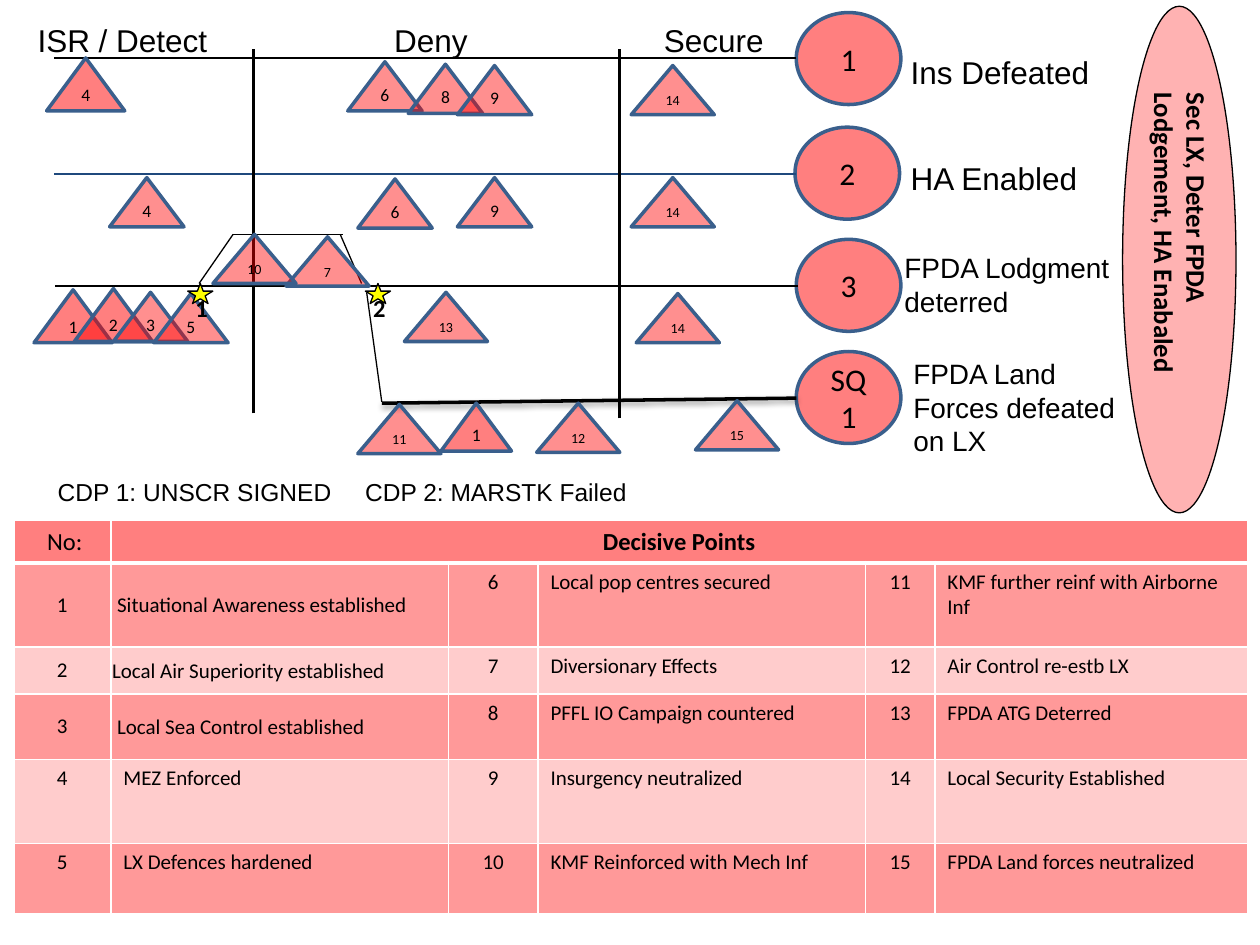
from typing import NamedTuple

from lxml import etree
from pptx import Presentation
from pptx.dml.color import RGBColor
from pptx.enum.shapes import MSO_CONNECTOR, MSO_SHAPE
from pptx.enum.text import MSO_ANCHOR, PP_ALIGN
from pptx.oxml.ns import qn
from pptx.util import Inches, Pt

STRAIGHT = MSO_CONNECTOR.STRAIGHT
ELLIPSE, TRIANGLE, STAR = MSO_SHAPE.OVAL, MSO_SHAPE.ISOSCELES_TRIANGLE, MSO_SHAPE.STAR_5_POINT
TOP, MIDDLE, BOTTOM = MSO_ANCHOR.TOP, MSO_ANCHOR.MIDDLE, MSO_ANCHOR.BOTTOM
LEFT, CENTER = PP_ALIGN.LEFT, PP_ALIGN.CENTER

COLORS = {"red": "FF0000", "outline": "3A5F8C", "black": "000000",
          "navy": "1F497D", "yellow": "FFFF00", "white": "FFFFFF"}


class Box(NamedTuple):
    left: float
    top: float
    width: float
    height: float


class Label(NamedTuple):
    text: str
    box: Box
    size: float = 18
    align: PP_ALIGN = LEFT


class TriangleStyle(NamedTuple):
    width: float
    height: float
    alpha: int
    size: float


class Point(NamedTuple):
    number: str
    left: float
    top: float
    style: TriangleStyle


class Line(NamedTuple):
    start: tuple[float, float]
    end: tuple[float, float]
    width: float = 0.75
    color: str = "black"
    shadow: bool = False


LARGE = TriangleStyle(0.62, 0.42, 50, 10)
MEDIUM = TriangleStyle(0.59, 0.39, 44, 10)
SMALL = TriangleStyle(0.56, 0.38, 50, 10)
WIDE = TriangleStyle(0.66, 0.39, 44, 8)

LABELS = [
    Label("Ins Defeated", Box(7.13, 0.37, 1.94, 0.4)),
    Label("HA Enabled", Box(7.13, 1.21, 1.94, 0.4)),
    Label("FPDA Lodgment deterred", Box(7.08, 1.94, 2.05, 0.64), 16),
    Label("FPDA Land Forces defeated on LX", Box(7.15, 2.78, 1.94, 0.91), 16),
    Label("ISR / Detect", Box(0.2, 0.12, 1.86, 0.4)),
    Label("Deny", Box(3.03, 0.12, 1.65, 0.4)),
    Label("Secure", Box(4.84, 0.12, 1.65, 0.4), 18, CENTER),
]
CIRCLES = [("1", 6.32, 0.1), ("2", 6.31, 1.01), ("3", 6.32, 1.9), ("SQ1", 6.32, 2.79)]
LINES = [
    Line((6.32, 0.46), (0.43, 0.46)),
    Line((6.32, 1.38), (0.43, 1.38), color="navy"),
    Line((6.33, 2.27), (0.44, 2.27)),
    Line((2.01, 3.28), (2.01, 0.39), 1.75),
    Line((4.92, 3.32), (4.92, 0.39), 1.75),
    Line((3.03, 3.19), (2.91, 2.32)),
    Line((1.58, 2.25), (1.85, 1.86)),
    Line((2.87, 2.25), (2.7, 1.86)),
    Line((2.72, 1.86), (1.85, 1.86)),
    Line((3.03, 3.2), (6.32, 3.16), 2, shadow=True),
]
POINTS = [
    Point("4", 0.37, 0.46, LARGE), Point("6", 2.76, 0.49, MEDIUM),
    Point("8", 3.24, 0.51, MEDIUM), Point("9", 3.63, 0.52, MEDIUM),
    Point("14", 5.01, 0.52, WIDE),
    Point("4", 0.87, 1.41, MEDIUM), Point("6", 2.84, 1.42, MEDIUM),
    Point("9", 3.63, 1.41, MEDIUM), Point("14", 5.01, 1.41, WIDE),
    Point("1", 0.27, 2.3, LARGE), Point("2", 0.59, 2.29, LARGE),
    Point("3", 0.9, 2.32, MEDIUM), Point("5", 1.22, 2.33, MEDIUM),
    Point("7", 2.27, 1.88, WIDE), Point("10", 1.69, 1.86, WIDE),
    Point("13", 3.21, 2.32, WIDE), Point("14", 5.05, 2.33, WIDE),
    Point("1", 3.5, 3.2, SMALL), Point("11", 2.84, 3.21, WIDE),
    Point("12", 4.26, 3.2, WIDE), Point("15", 5.52, 3.18, WIDE),
]
STARS = [("1", 1.49), ("2", 2.9)]

DECISIVE_POINTS = [
    "Situational Awareness established", "Local Air Superiority established",
    "Local Sea Control established", "MEZ Enforced", "LX Defences hardened",
    "Local pop centres secured", "Diversionary Effects", "PFFL IO Campaign countered",
    "Insurgency neutralized", "KMF Reinforced with Mech Inf",
    "KMF further reinf with Airborne Inf", "Air Control re-estb LX", "FPDA ATG Deterred",
    "Local Security Established", "FPDA Land forces neutralized",
]
COLUMN_WIDTHS = [0.77, 2.68, 0.71, 2.6, 0.55, 2.48]
ROW_HEIGHTS = [0.33, 0.67, 0.37, 0.52, 0.67, 0.56]
TIGHT_INDENTS = {1: 0.05, 2: 0.01, 3: 0.05}


def rgb(name: str) -> RGBColor:
    return RGBColor.from_string(COLORS[name])


def inches(values) -> list:
    return [Inches(value) for value in values]


def set_alpha(element, percent: int) -> None:
    """Make the first colour inside the element, its fill, see-through."""
    color = element.find(f".//{qn('a:srgbClr')}")
    etree.SubElement(color, qn("a:alpha"), val=str(percent * 1000))


def write(frame, text: str, size: float, font="Calibri", align=LEFT, bold=False):
    para = frame.paragraphs[0]
    para.text = text
    para.alignment = align
    para.font.name, para.font.size, para.font.bold = font, Pt(size), bold
    para.font.color.rgb = rgb("black")
    return para


def add_figure(page, kind, box: Box, text: str, size: float, fill="red", alpha=100,
               line="outline", line_width=2.0, anchor=MIDDLE, align=CENTER, bold=False):
    shape = page.shapes.add_shape(kind, *inches(box))
    shape.shadow.inherit = False
    shape.fill.solid()
    shape.fill.fore_color.rgb = rgb(fill)
    if alpha < 100:
        set_alpha(shape._element.spPr, alpha)
    shape.line.color.rgb = rgb(line)
    shape.line.width = Pt(line_width)
    shape.text_frame.vertical_anchor = anchor
    write(shape.text_frame, text, size, align=align, bold=bold)
    return shape


def add_label(page, label: Label):
    frame = page.shapes.add_textbox(*inches(label.box)).text_frame
    frame.word_wrap = True
    return write(frame, label.text, label.size, "Arial", label.align)


def add_line(page, line: Line) -> None:
    connector = page.shapes.add_connector(STRAIGHT, *inches(line.start + line.end))
    connector.line.color.rgb = rgb(line.color)
    connector.line.width = Pt(line.width)
    effects = etree.SubElement(connector._element.spPr, qn("a:effectLst"))
    if line.shadow:
        shadow = etree.SubElement(effects, qn("a:outerShdw"), blurRad="40000", dist="20000",
                                  dir="5400000", rotWithShape="0")
        etree.SubElement(shadow, qn("a:srgbClr"), val=COLORS["black"])
        set_alpha(shadow, 38)


def style_cell(cell, alpha: int, anchor, bottom_width=1) -> None:
    cell.vertical_anchor = anchor
    cell.fill.solid()
    cell.fill.fore_color.rgb = rgb("red")
    properties = cell._tc.tcPr
    set_alpha(properties, alpha)
    for index, side in enumerate(("lnL", "lnR", "lnT", "lnB")):
        width = bottom_width if side == "lnB" else 1
        border = etree.Element(qn(f"a:{side}"), w=str(Pt(width)))
        fill = etree.SubElement(border, qn("a:solidFill"))
        etree.SubElement(fill, qn("a:srgbClr"), val=COLORS["white"])
        properties.insert(index, border)


def add_decisive_points(page) -> None:
    rows, columns = len(ROW_HEIGHTS), len(COLUMN_WIDTHS)
    table = page.shapes.add_table(rows, columns, *inches(Box(0.11, 4.13, 9.78, 3.12))).table
    table.first_row = table.horz_banding = False
    for column, width in zip(table.columns, COLUMN_WIDTHS):
        column.width = Inches(width)
    for row, height in zip(table.rows, ROW_HEIGHTS):
        row.height = Inches(height)
    for cell in table.rows[0].cells:
        style_cell(cell, 50, MIDDLE, 3)
    table.cell(0, 1).merge(table.cell(0, columns - 1))
    table.cell(0, 0).margin_left = Inches(0.14)
    write(table.cell(0, 0).text_frame, "No:", 14, align=CENTER)
    write(table.cell(0, 1).text_frame, "Decisive Points", 14, align=CENTER, bold=True)

    for index, name in enumerate(DECISIVE_POINTS):
        block, row = index // (rows - 1), index % (rows - 1) + 1
        number_cell, name_cell = table.cell(row, 2 * block), table.cell(row, 2 * block + 1)
        tight = block == 0 and row in TIGHT_INDENTS
        for cell in (number_cell, name_cell):
            style_cell(cell, 40 if row % 2 else 20, MIDDLE if tight else TOP)
        if tight:
            name_cell.margin_left = Inches(TIGHT_INDENTS[row])
            name_cell.margin_right = name_cell.margin_top = Inches(0.01)
            name_cell.margin_bottom = 0
        write(number_cell.text_frame, str(index + 1), 12, align=CENTER)
        write(name_cell.text_frame, name, 12)


def main() -> None:
    deck = Presentation()
    deck.slide_width, deck.slide_height = Inches(10), Inches(7.5)
    page = deck.slides.add_slide(deck.slide_layouts[6])

    add_decisive_points(page)
    for label in LABELS:
        add_label(page, label)
    caption = add_label(page, Label("CDP 1: UNSCR SIGNED\tCDP 2: MARSTK Failed",
                                    Box(0.36, 3.74, 5.5, 0.34), 14))
    tabs = etree.Element(qn("a:tabLst"))
    etree.SubElement(tabs, qn("a:tab"), pos=str(Inches(2.44)), algn="l")
    caption._p.pPr.insert(0, tabs)

    for text, left, top in CIRCLES:
        add_figure(page, ELLIPSE, Box(left, top, 0.83, 0.73), text, 18, alpha=50)
    for line in LINES:
        add_line(page, line)
    for number, left, top, style in POINTS:
        add_figure(page, TRIANGLE, Box(left, top, style.width, style.height), number,
                   style.size, alpha=style.alpha, anchor=BOTTOM)
    for number, left in STARS:
        add_figure(page, STAR, Box(left, 2.25, 0.2, 0.16), number, 14, "yellow",
                   line="black", line_width=0.75, anchor=TOP, align=LEFT, bold=True)
    end_state = add_figure(page, ELLIPSE, Box(8.91, 0.05, 0.9, 4.02),
                           "Sec LX, Deter FPDA Lodgement, HA Enabaled", 15.3, alpha=30,
                           line="black", line_width=0.75, anchor=TOP, align=LEFT, bold=True)
    end_state.text_frame._txBody.bodyPr.set("vert", "vert")
    deck.save("out.pptx")


if __name__ == "__main__":
    main()
